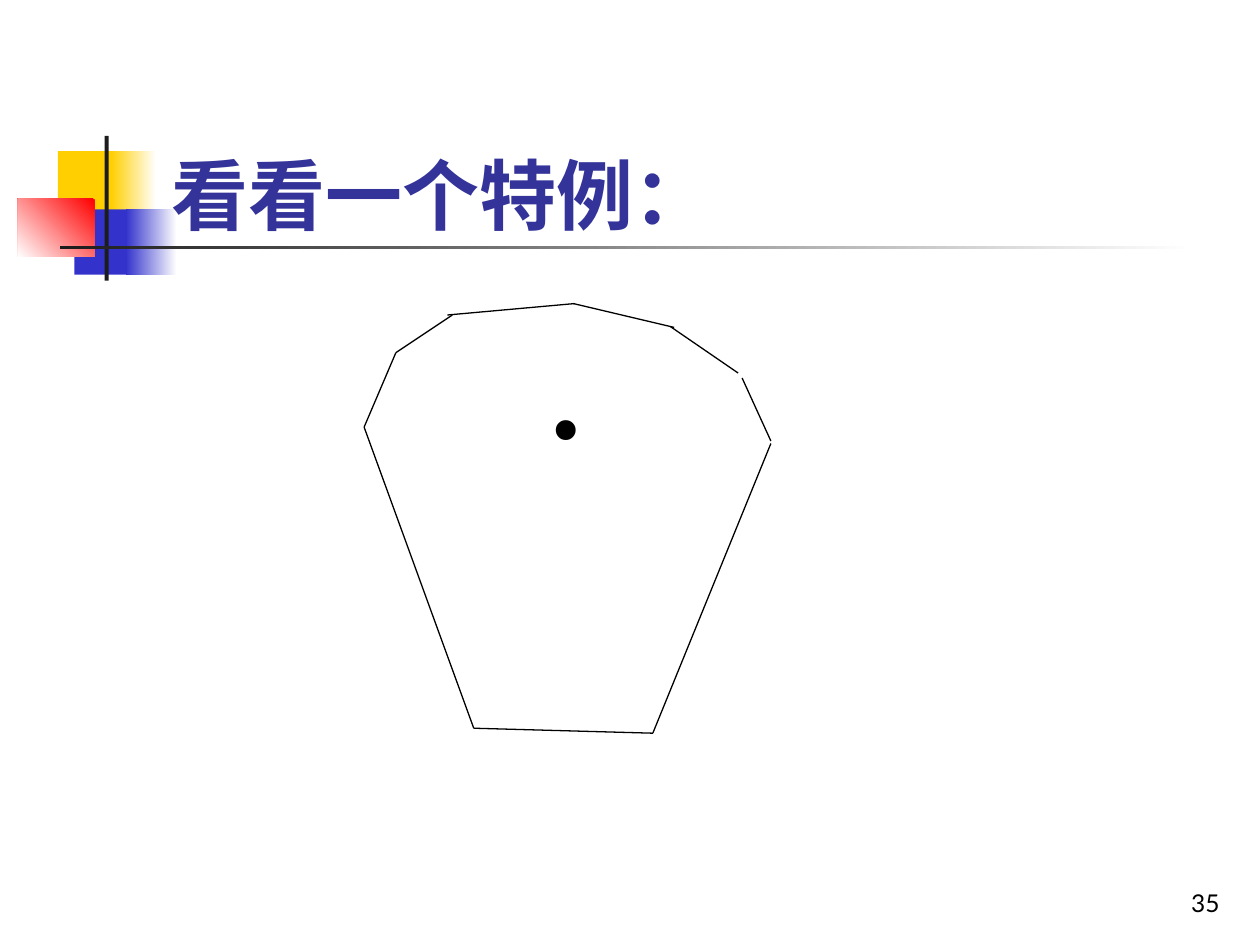
from lxml import etree
from pptx import Presentation
from pptx.dml.color import RGBColor
from pptx.enum.shapes import MSO_CONNECTOR, MSO_SHAPE
from pptx.enum.text import MSO_ANCHOR, MSO_AUTO_SIZE, PP_ALIGN
from pptx.oxml.ns import qn
from pptx.util import Cm, Pt

RECT, LINE = MSO_SHAPE.RECTANGLE, MSO_CONNECTOR.STRAIGHT
TOP, BOTTOM = MSO_ANCHOR.TOP, MSO_ANCHOR.BOTTOM
LEFT, RIGHT = PP_ALIGN.LEFT, PP_ALIGN.RIGHT
NO_FIT = MSO_AUTO_SIZE.NONE
TITLE_ONLY = 5

COLORS = {
    "white": "FFFFFF", "black": "000000", "bar": "1C1C1C", "title": "333399",
    "yellow": "FFCF01", "blue": "3333CC", "red": "FF0000",
}

# Content; lengths in cm
TITLE = "看看一个特例："
PAGE = "35"
# Box, colours (two make a gradient), clockwise gradient angle
DECORATION = [
    ((1.17, 3.05, 1.22, 1.32), ["yellow"], 0),
    ((2.24, 3.05, 0.91, 1.32), ["white", "yellow"], 180),
    ((1.5, 4.22, 1.17, 1.32), ["blue"], 0),
    ((2.54, 4.22, 1.02, 1.32), ["white", "blue"], 180),
    ((0.36, 4.01, 1.55, 1.17), ["red", "white"], 135),
    ((2.11, 2.74, 0.08, 2.92), ["bar"], 0),
    ((1.22, 4.95, 22.86, 0.08), ["white", "bar"], 180),
]
# Polygon edges as chains of points
CHAINS = [
    [(13.59, 6.6), (11.56, 6.12)],
    [(9.12, 6.35), (7.98, 7.11), (7.34, 8.61), (9.55, 14.68),
     (13.16, 14.78), (15.54, 8.94)],
    [(9.02, 6.35), (11.58, 6.12)],
    [(15.54, 8.89), (14.96, 7.62)],
    [(14.88, 7.52), (13.51, 6.58)],
]


def rgb(name):
    return RGBColor.from_string(COLORS[name])


def add_block(s, box, colors, angle):
    sp = s.shapes.add_shape(RECT, *map(Cm, box))
    sp.shadow.inherit = False
    sp.line.fill.background()
    if len(colors) == 1:
        sp.fill.solid()
        sp.fill.fore_color.rgb = rgb(colors[0])
        return
    sp.fill.gradient()
    sp.fill.gradient_angle = 360 - angle
    for stop, color in zip(sp.fill.gradient_stops, colors):
        stop.color.rgb = rgb(color)
    # Spread the two stops over the full length
    for stop, position in zip(sp.fill.gradient_stops, (0, 1)):
        stop.position = position


def add_edge(s, start, end):
    line = s.shapes.add_connector(LINE, *map(Cm, start + end))
    line.line.color.rgb = rgb("black")
    line.line.width = Pt(0.75)
    etree.SubElement(line._element.spPr, qn("a:effectLst"))


def set_text(sp, text, size, font, color="black", bold=False, align=LEFT, anchor=BOTTOM):
    tf = sp.text_frame
    tf.text = text
    tf.word_wrap = True
    tf.auto_size = NO_FIT
    tf.vertical_anchor = anchor
    p = tf.paragraphs[0]
    p.alignment = align
    p.font.size, p.font.name, p.font.bold = Pt(size), font, bold
    p.font.color.rgb = rgb(color)


prs = Presentation()
prs.slide_width, prs.slide_height = Cm(25.4), Cm(19.05)
s = prs.slides.add_slide(prs.slide_layouts[TITLE_ONLY])

# Corner decoration
for box, colors, angle in DECORATION:
    add_block(s, box, colors, angle)

# Title, brought in front of the decoration
title = s.shapes.title
title.left, title.top, title.width, title.height = map(Cm, (3.2, 0.91, 21.64, 4.06))
set_text(title, TITLE, 44, "Lato", "title", bold=True)
s.shapes._spTree.append(title._element)

# Polygon with its centre point
for chain in CHAINS:
    for start, end in zip(chain, chain[1:]):
        add_edge(s, start, end)
dot = s.shapes.add_textbox(*map(Cm, (10.77, 5.33, 2.39, 4.32)))
dot.rotation = 1.7
set_text(dot, ".", 96, "Times New Roman", anchor=TOP)

# Page number
page = s.shapes.add_textbox(*map(Cm, (19.56, 17.35, 5.28, 1.27)))
set_text(page, PAGE, 14, "Lato", align=RIGHT)

prs.save("out.pptx")
